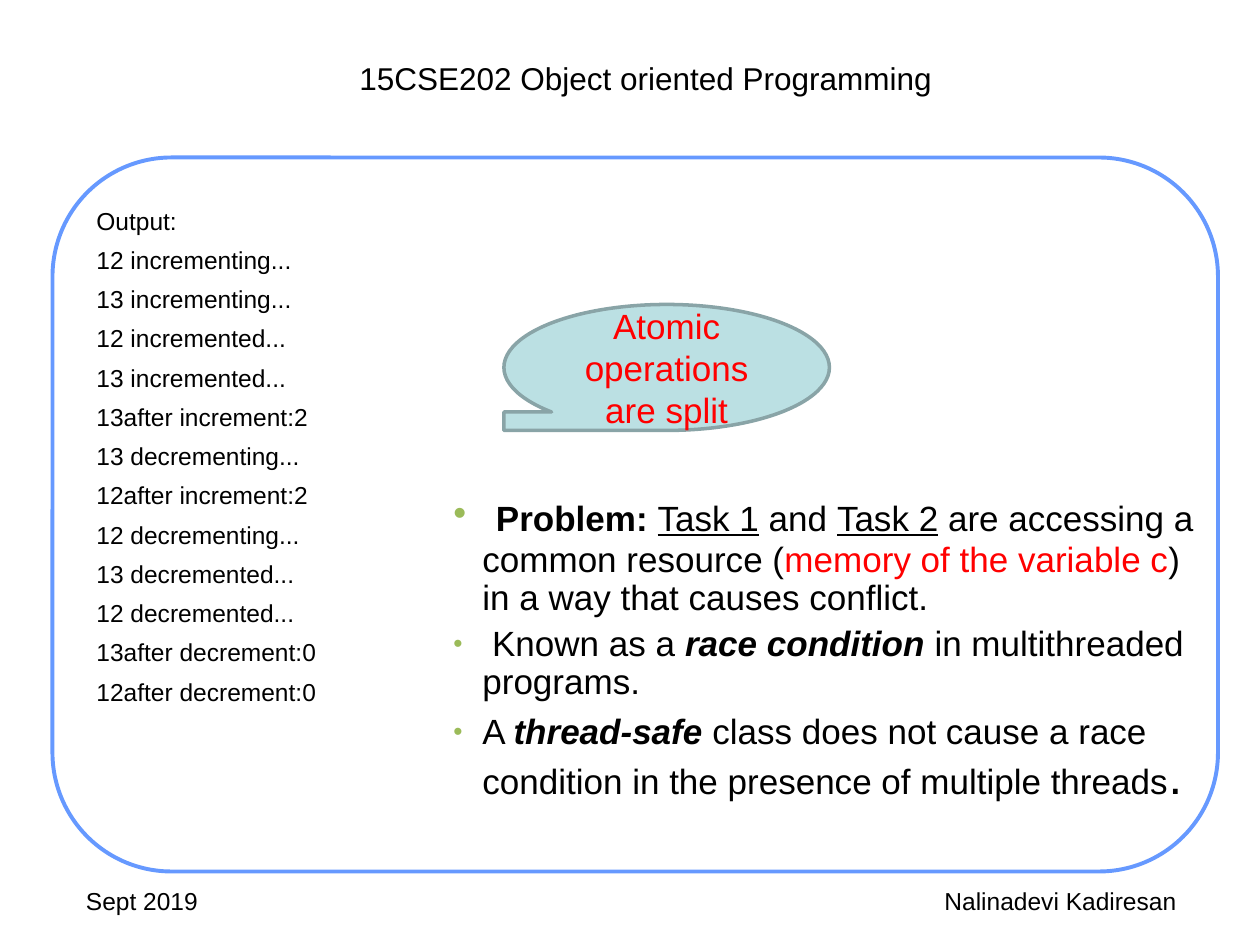
from dataclasses import dataclass

from lxml import etree
from pptx import Presentation
from pptx import util as u
from pptx.dml.color import RGBColor
from pptx.enum import shapes, text
from pptx.oxml.ns import qn


@dataclass(frozen=True)
class Theme:
    """Colours, type sizes and grid of the slide."""
    font: str = "Arial"
    ink: str = "000000"
    paper: str = "FFFFFF"
    alert: str = "FF0000"
    frame: str = "6699FF"
    callout: str = "BBE0E3"
    callout_edge: str = "89A4A7"
    bullet: str = "9BBB59"
    title: int = 18
    small: int = 14
    body: int = 20
    large: int = 28
    columns: int = 120
    rows: int = 90


THEME = Theme()
WIDTH, HEIGHT = u.Inches(10), u.Inches(7.5)
ALIGN = text.PP_ALIGN
PRESET = shapes.MSO_SHAPE

OUTPUT = [
    "Output:",
    "12 incrementing...",
    "13 incrementing...",
    "12 incremented...",
    "13 incremented...",
    "13after increment:2",
    "13 decrementing...",
    "12after increment:2",
    "12 decrementing...",
    "13 decremented...",
    "12 decremented...",
    "13after decrement:0",
    "12after decrement:0",
]

STRONG = {"bold": True, "italic": True}
PROBLEM = [
    (5, [
        (" ", {"size": THEME.large}),
        ("Problem: ", {"bold": True}),
        ("Task 1", {"underline": True}),
        (" and ", {}),
        ("Task 2", {"underline": True}),
        (" are accessing a common resource (", {}),
        ("memory of the variable c", {"color": THEME.alert}),
        (") in a way that causes conflict.", {}),
    ]),
    (5, [
        (" Known as a ", {}),
        ("race condition", STRONG),
        (" in multithreaded programs.", {}),
    ]),
    (7, [
        ("A ", {}),
        ("thread-safe", STRONG),
        (" class does not cause a race condition in the presence of multiple threads", {}),
        (".", {"size": THEME.large}),
    ]),
]


def place(left, top, width, height):
    """Turn columns and rows of the grid into slide lengths."""
    column, row = WIDTH / THEME.columns, HEIGHT / THEME.rows
    return [u.Emu(round(n)) for n in (left * column, top * row, width * column, height * row)]


def add_run(paragraph, words, size=THEME.body, color=THEME.ink, **style):
    """Add one styled run to a paragraph."""
    run = paragraph.add_run()
    run.text = words
    run.font.name = THEME.font
    run.font.size = u.Pt(size)
    run.font.color.rgb = RGBColor.from_string(color)
    for key, value in style.items():
        setattr(run.font, key, value)


def add_paragraphs(frame, count):
    """Return the given number of paragraphs, using the first one in place."""
    return [frame.paragraphs[0]] + [frame.add_paragraph() for _ in range(count - 1)]


def set_indent(paragraph, hang):
    """Give a paragraph a hanging indent in inches."""
    properties = paragraph._p.get_or_add_pPr()
    properties.set("marL", str(u.Inches(hang)))
    properties.set("indent", str(-u.Inches(hang)))
    return properties


def set_bullet(paragraph):
    """Give a paragraph the small green bullet."""
    properties = set_indent(paragraph, 0.23)
    color = etree.SubElement(properties, qn("a:buClr"))
    etree.SubElement(color, qn("a:srgbClr"), val=THEME.bullet)
    etree.SubElement(properties, qn("a:buSzPct"), val="75000")
    etree.SubElement(properties, qn("a:buFont"), typeface=THEME.font)
    etree.SubElement(properties, qn("a:buChar"), char="•")


def draw_panel(slide, box, preset, fill, edge=None, weight=0):
    """Draw a flat preset shape, with an outline if an edge colour is given."""
    panel = slide.shapes.add_shape(preset, *place(*box))
    panel.shadow.inherit = False
    panel.fill.solid()
    panel.fill.fore_color.rgb = RGBColor.from_string(fill)
    if edge:
        panel.line.color.rgb = RGBColor.from_string(edge)
        panel.line.width = u.Pt(weight)
    else:
        panel.line.fill.background()
    return panel


def draw_label(slide, box, words, size, align=ALIGN.CENTER):
    """Write a single line of plain text."""
    frame = slide.shapes.add_textbox(*place(*box)).text_frame
    frame.word_wrap = True
    frame.paragraphs[0].alignment = align
    add_run(frame.paragraphs[0], words, size)


def draw_output(slide, box):
    """List the lines that the program prints."""
    frame = draw_panel(slide, box, PRESET.RECTANGLE, THEME.paper).text_frame
    frame.word_wrap = True
    frame.vertical_anchor = text.MSO_ANCHOR.TOP
    for paragraph, words in zip(add_paragraphs(frame, len(OUTPUT)), OUTPUT):
        paragraph.alignment = ALIGN.LEFT
        paragraph.space_before = u.Pt(5.6)
        set_indent(paragraph, 0.38)
        add_run(paragraph, words, THEME.small)


def draw_callout(slide, box):
    """Draw the mirrored tape-shaped callout."""
    callout = draw_panel(slide, box, PRESET.FLOWCHART_SEQUENTIAL_ACCESS_STORAGE,
                         THEME.callout, THEME.callout_edge, 2)
    callout._element.spPr.find(qn("a:xfrm")).set("flipH", "1")
    frame = callout.text_frame
    frame.word_wrap = True
    frame.vertical_anchor = text.MSO_ANCHOR.MIDDLE
    frame.paragraphs[0].alignment = ALIGN.CENTER
    add_run(frame.paragraphs[0], "Atomic operations are split", color=THEME.alert)


def draw_problem(slide, box):
    """Write the bullets that explain the race condition."""
    frame = slide.shapes.add_textbox(*place(*box)).text_frame
    frame.word_wrap = True
    for paragraph, (gap, runs) in zip(add_paragraphs(frame, len(PROBLEM)), PROBLEM):
        paragraph.line_spacing = 0.9
        paragraph.space_before = u.Pt(gap)
        set_bullet(paragraph)
        for words, style in runs:
            add_run(paragraph, words, **style)


def main():
    """Build the slide and save it."""
    deck = Presentation()
    deck.slide_width, deck.slide_height = WIDTH, HEIGHT
    slide = deck.slides.add_slide(deck.slide_layouts[6])
    draw_panel(slide, (5, 15, 111, 68), PRESET.ROUNDED_RECTANGLE, THEME.paper, THEME.frame, 2.25)
    draw_label(slide, (17, 5, 89, 4.8), "15CSE202 Object oriented Programming", THEME.title)
    draw_output(slide, (8, 19, 104, 49.5))
    draw_label(slide, (7, 83.75, 28, 6.25), "Sept 2019", THEME.small, ALIGN.LEFT)
    draw_label(slide, (82, 83.75, 38, 6.25), "Nalinadevi Kadiresan", THEME.small)
    draw_callout(slide, (48, 29, 31, 12))
    draw_problem(slide, (42, 46, 75, 31.3))
    deck.save("out.pptx")


if __name__ == "__main__":
    main()
